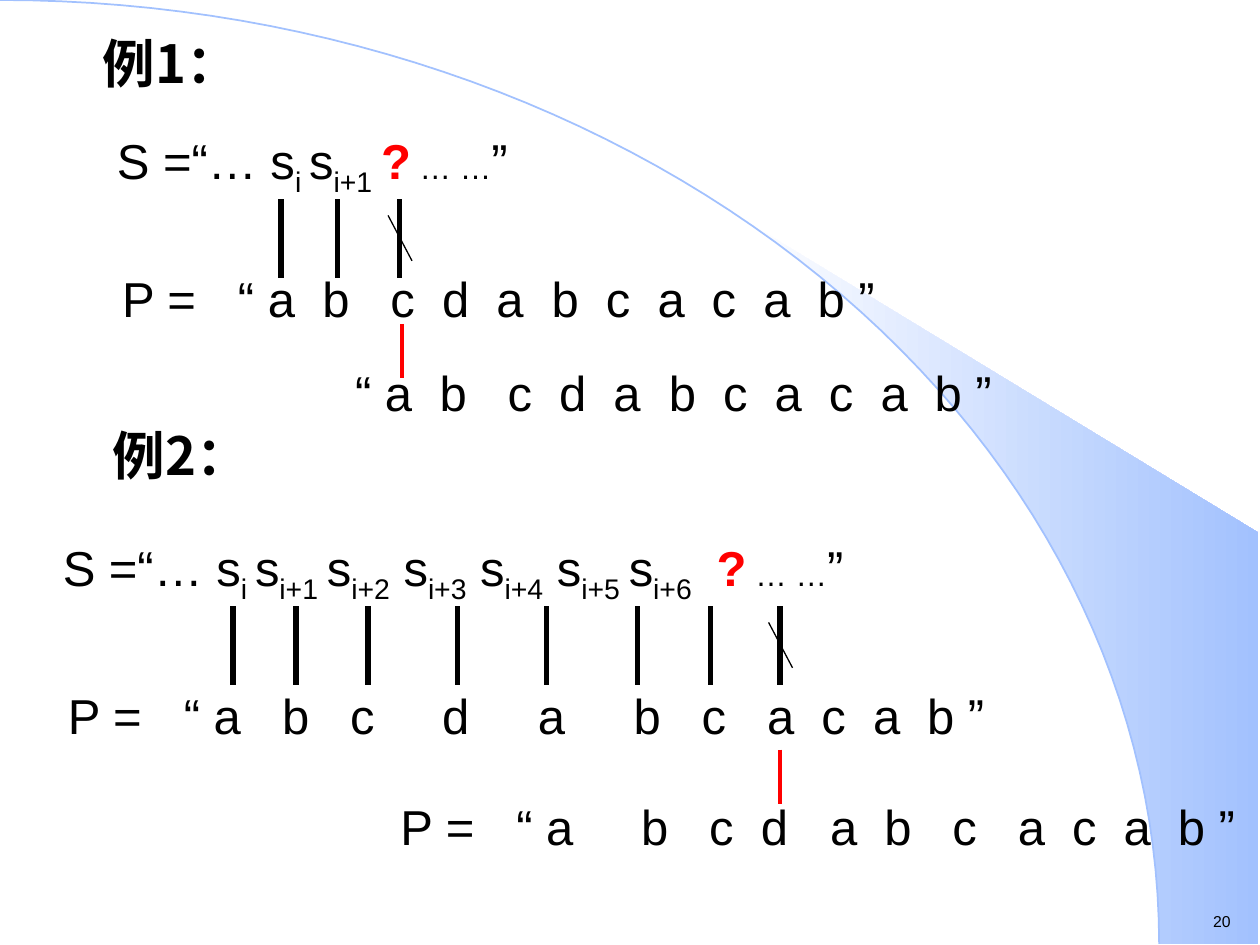
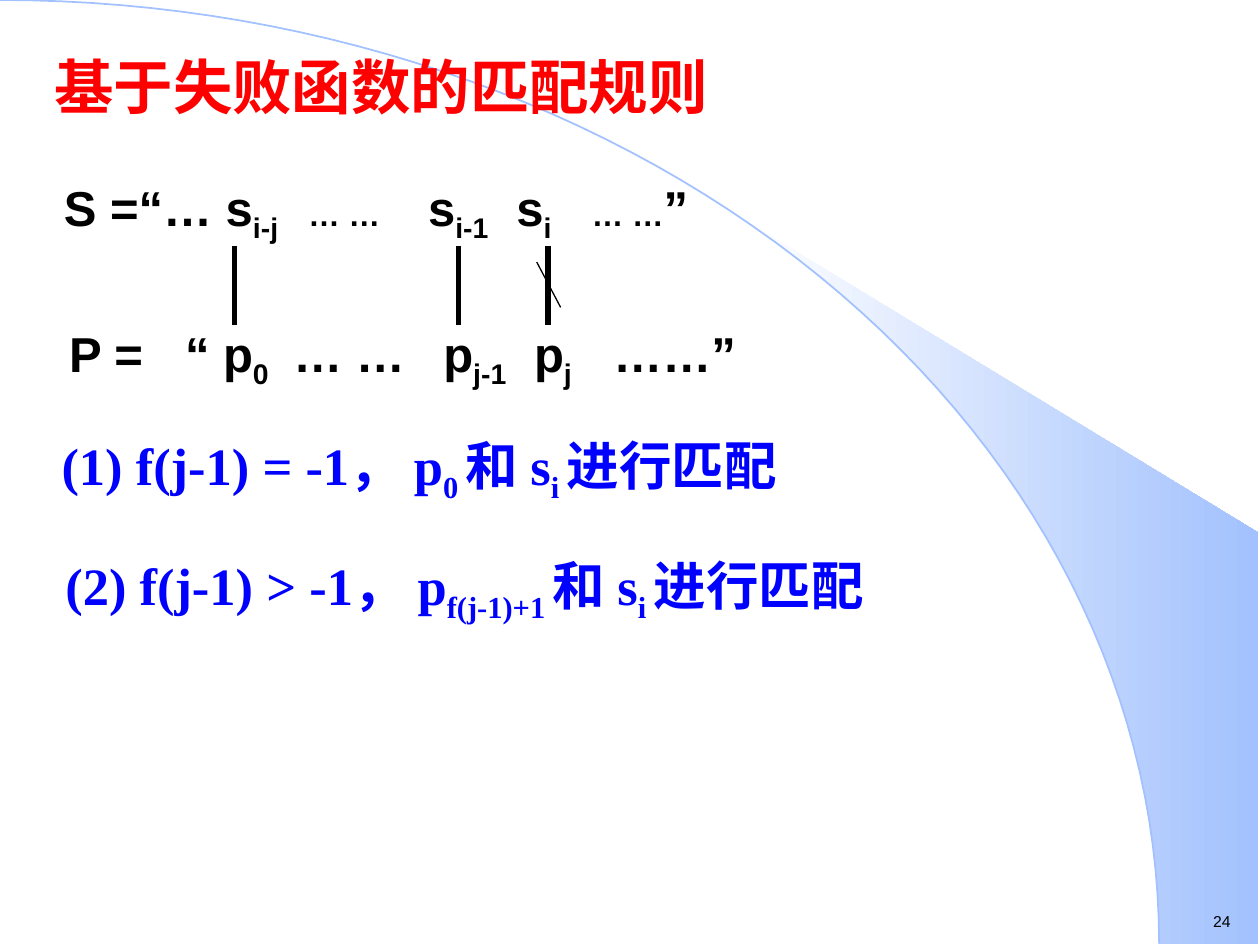
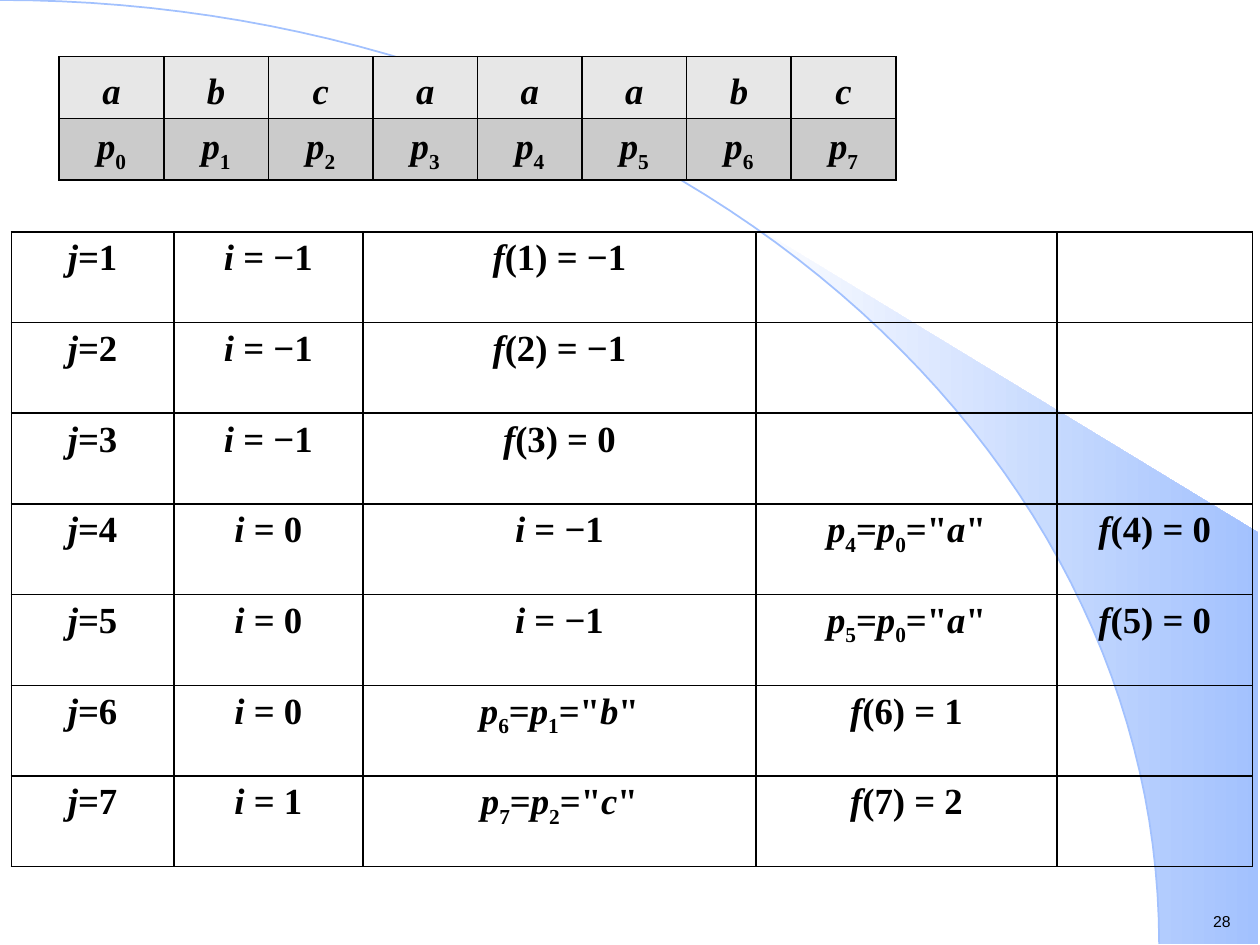
from dataclasses import dataclass
from math import asin, cos, pi, sin

from lxml import etree
from pptx import Presentation
from pptx.dml.color import RGBColor
from pptx.enum.shapes import MSO_CONNECTOR
from pptx.enum.text import MSO_ANCHOR, MSO_AUTO_SIZE, PP_ALIGN
from pptx.oxml.ns import qn
from pptx.util import Inches, Pt

LEFT, MID = PP_ALIGN.LEFT, PP_ALIGN.CENTER
TOP = MSO_ANCHOR.TOP
NO_FIT = MSO_AUTO_SIZE.NONE
STRAIGHT = MSO_CONNECTOR.STRAIGHT
TITLE_ONLY, BLANK = 5, 6


@dataclass(frozen=True)
class Theme:
    black: str = "000000"
    white: str = "FFFFFF"
    red: str = "FF0000"
    blue: str = "0000FF"
    sky: str = "A2C1FE"
    pale: str = "E7E7E7"
    gray: str = "CBCBCB"
    sans: str = "Arial"
    serif: str = "Times New Roman"
    han: str = "Noto Sans CJK SC"
    head: int = 34
    rule: int = 30
    body: int = 28
    cell: int = 21
    small: int = 18
    page: int = 9


@dataclass(frozen=True)
class Style:
    size: int
    face: str
    color: str = "000000"
    bold: bool = False


T = Theme()
BODY = Style(T.body, T.sans)
STRONG = Style(T.body, T.sans, bold=True)
LABEL = Style(T.rule, T.han, bold=True)
HEAD = Style(T.head, T.serif, T.red, True)
RULE = Style(T.rule, T.serif, T.blue, True)
CELL = Style(T.cell, T.serif, bold=True)
PAGE = Style(T.page, T.sans)

WIDE, HIGH = 10, 7.5
ARC_W, ARC_H = 9.2, 7.49      # radii of the background curve
LINK = 0.63                   # height of a match line


def rgb(code):
    return RGBColor.from_string(code)


def inches(*spans):
    return [Inches(span) for span in spans]


# Text: parts split by |, marked _ subscript, * italic, ~ small, ! red
def write(para, text, style, align=LEFT, stops=()):
    para.alignment = align
    if stops:
        tabs = etree.SubElement(para._p.get_or_add_pPr(), qn("a:tabLst"))
        for stop in stops:
            etree.SubElement(tabs, qn("a:tab"), pos=str(Inches(stop)), algn="l")
    for part in text.split("|"):
        mark = part[0] if part[0] in "_*~!" else ""
        run = para.add_run()
        run.text = part[len(mark):]
        font = run.font
        font.size = Pt(T.small if mark == "~" else style.size)
        font.bold = style.bold or mark == "!"
        font.italic = mark == "*"
        font.color.rgb = rgb(T.red if mark == "!" else style.color)
        font.name = style.face
        props = run._r.get_or_add_rPr()
        etree.SubElement(props, qn("a:ea"), typeface=T.han)
        if mark == "_":
            props.set("baseline", "-25000")


def fit(shape, box, text, style, align=LEFT, stops=(), wrap=True):
    shape.left, shape.top, shape.width, shape.height = inches(*box)
    frame = shape.text_frame
    frame.word_wrap = wrap
    frame.auto_size = NO_FIT
    frame.vertical_anchor = TOP
    write(frame.paragraphs[0], text, style, align, stops)


def label(slide, box, text, style, **more):
    fit(slide.shapes.add_textbox(0, 0, 0, 0), box, text, style, **more)


# Lines between matched letters
def line(slide, start, end, color, width):
    link = slide.shapes.add_connector(STRAIGHT, *inches(*start, *end))
    link.line.color.rgb = rgb(color)
    link.line.width = Pt(width)
    etree.SubElement(link._element.spPr, qn("a:effectLst"))


def match(slide, spots, top):
    """Join each pair of letters; the last pair is struck out."""
    for x in spots:
        line(slide, (x, top), (x, top + LINK), T.black, 3)
    x = spots[-1]
    line(slide, (x - 0.09, top + 0.13), (x + 0.1, top + 0.49), T.black, 0.75)


def retry(slide, x, top):
    line(slide, (x, top), (x, top + 0.43), T.red, 2.25)


# Background curve and wedge, kept on the master
def curve(first, count=60):
    steps = [first + (pi / 2 - first) * n / count for n in range(count + 1)]
    return [(ARC_W * sin(t), ARC_H * (1 - cos(t))) for t in steps]


def outline(slide, points, closed):
    dots = [inches(*point) for point in points]
    path = slide.shapes.build_freeform(*dots[0], scale=1.0)
    path.add_line_segments(dots[1:], close=closed)
    shape = path.convert_to_shape()
    shape.shadow.inherit = False
    return shape


def backdrop(deck, slide):
    edge = curve(asin(5.89 / ARC_W))
    wedge = outline(slide, edge + [(9.99, ARC_H), (9.99, 4.23)], True)
    wedge.line.fill.background()
    wedge.fill.gradient()
    wedge.fill.gradient_angle = 0
    for stop, color in zip(wedge.fill.gradient_stops, (T.white, T.sky)):
        stop.color.rgb = rgb(color)
    arc = outline(slide, curve(0), False)
    arc.fill.background()
    arc.line.color.rgb = rgb(T.sky)
    arc.line.width = Pt(1)
    tree = deck.slide_master.shapes._spTree
    for n, shape in enumerate((wedge, arc)):
        shape._element.nvSpPr.cNvPr.set("id", str(20 + n))
        tree.insert(2 + n, shape._element)


def page(deck, layout, number):
    slide = deck.slides.add_slide(deck.slide_layouts[layout])
    label(slide, (9.53, 7.19, 0.35, 0.25), str(number), PAGE, wrap=False)
    return slide


# Tables
def border(cell):
    props = cell._tc.get_or_add_tcPr()
    for n, side in enumerate(("lnL", "lnR", "lnT", "lnB")):
        edge = etree.Element(qn("a:" + side), w=str(Pt(1)))
        fill = etree.SubElement(edge, qn("a:solidFill"))
        etree.SubElement(fill, qn("a:srgbClr"), val=T.black)
        props.insert(n, edge)


def grid(slide, spot, cols, row, data, fills=None, lead=None):
    size = (sum(cols), row * len(data))
    shape = slide.shapes.add_table(len(data), len(cols), *inches(*spot, *size))
    table = shape.table
    table.first_row = table.horz_banding = False
    for col, width in zip(table.columns, cols):
        col.width = Inches(width)
    for r, texts in enumerate(data):
        table.rows[r].height = Inches(row)
        for c in range(len(cols)):
            cell = table.cell(r, c)
            if fills:
                cell.fill.solid()
                cell.fill.fore_color.rgb = rgb(fills[r])
            else:
                cell.fill.background()
            border(cell)
            if c < len(texts):
                para = cell.text_frame.paragraphs[0]
                write(para, texts[c], CELL, MID)
                if lead:
                    para.line_spacing = Pt(lead)


def examples(slide):
    fit(slide.shapes.title, (0, 0.2, 2.71, 0.6), "例1：", LABEL, MID)
    label(slide, (0.83, 0.99, 8.07, 0.57),
          "S =“… s|_i |s|_i+1|~ |!?|~ … …|”", BODY)
    stops = (0.92, 1.59, 2.13, 2.54, 2.97, 3.41, 3.84, 4.25, 4.68, 5.09, 5.52)
    word = "\t“ a\tb\tc\td\ta\tb\tc\ta\tc\ta\tb ”"
    label(slide, (0.87, 2.08, 8.31, 0.57), "P =" + word, BODY, stops=stops)
    match(slide, (2.23, 2.68, 3.17), 1.58)
    label(slide, (1.8, 2.83, 8.1, 0.57), word, BODY, stops=stops)
    retry(slide, 3.19, 2.57)

    label(slide, (0, 3.31, 2.87, 0.6), "例2：", LABEL, align=MID)
    label(slide, (0.4, 4.22, 8.07, 0.57),
          "S =“… s|_i |s|_i+1|~ |s|_i+2| s|_i+3| s|_i+4| s|_i+5|~ |s|_i+6"
          "|!\t?|~ … …|”", BODY, stops=(5.19,))
    stops = (0.92, 1.7, 2.24, 2.97, 3.73, 4.49, 5.03, 5.55, 5.98, 6.39, 6.82)
    label(slide, (0.44, 5.39, 8.31, 0.57), "P =" + word, BODY, stops=stops)
    match(slide, (1.85, 2.35, 2.92, 3.63, 4.34, 5.06, 5.64, 6.19), 4.81)
    stops = (0.92, 1.91, 2.45, 2.86, 3.41, 3.84, 4.38, 4.9, 5.33, 5.74, 6.17)
    label(slide, (3.08, 6.27, 6.92, 0.57), "P =" + word, BODY, stops=stops)
    retry(slide, 6.19, 5.95)


def rules(slide):
    fit(slide.shapes.title, (0.33, 0.35, 8.07, 0.67),
        "基于失败函数的匹配规则", HEAD)
    label(slide, (0.41, 1.36, 8.07, 0.57),
          "S =“… s|_i-j|~\t… …|\ts|_i-1|\ts|_i|~\t… …|”", STRONG,
          stops=(1.94, 2.89, 3.59, 4.19))
    label(slide, (0.45, 2.52, 8.31, 0.57),
          "P =\t“ p|_0|\t… …\tp|_j-1|\tp|_j|\t……”", STRONG,
          stops=(0.92, 1.78, 2.97, 3.69, 4.32))
    match(slide, (1.86, 3.64, 4.35), 1.95)
    cases = (("(1) f(j-1) = -1", "0"), ("(2) f(j-1) > -1", "f(j-1)+1"))
    for n, (test, sub) in enumerate(cases):
        label(slide, (0.39 + 0.03 * n, 3.39 + 0.95 * n, 8.07, 0.6),
              f"{test}， p|_{sub} |和 s|_i |进行匹配", RULE)


def same(m, n, char):
    return f'*p|_{m}|=|*p|_{n}|="|*{char}|"'


def tables(slide):
    chars = ["*" + char for char in "abcaaabc"]
    names = [f"*p|_{n}" for n in range(len(chars))]
    grid(slide, (0.47, 0.45), [0.83] * len(chars), 0.49, [chars, names],
         fills=(T.pale, T.gray), lead=28)

    start, none = "*i |= 0", "*i |= −1"
    steps = [
        [none, "*f|(1) = −1"],
        [none, "*f|(2) = −1"],
        [none, "*f|(3) = 0"],
        [start, none, same(4, 0, "a"), "*f|(4) = 0"],
        [start, none, same(5, 0, "a"), "*f|(5) = 0"],
        [start, same(6, 1, "b"), "*f|(6) = 1"],
        ["*i |= 1", same(7, 2, "c"), "*f|(7) = 2"],
    ]
    data = [[f"*j|={n}"] + step for n, step in enumerate(steps, 1)]
    grid(slide, (0.09, 1.84), (1.29, 1.5, 3.12, 2.39, 1.55), 0.72, data)


def main():
    deck = Presentation()
    deck.slide_width, deck.slide_height = inches(WIDE, HIGH)
    first = page(deck, TITLE_ONLY, 20)
    backdrop(deck, first)
    examples(first)
    rules(page(deck, TITLE_ONLY, 24))
    tables(page(deck, BLANK, 28))
    deck.save("out.pptx")


if __name__ == "__main__":
    main()
